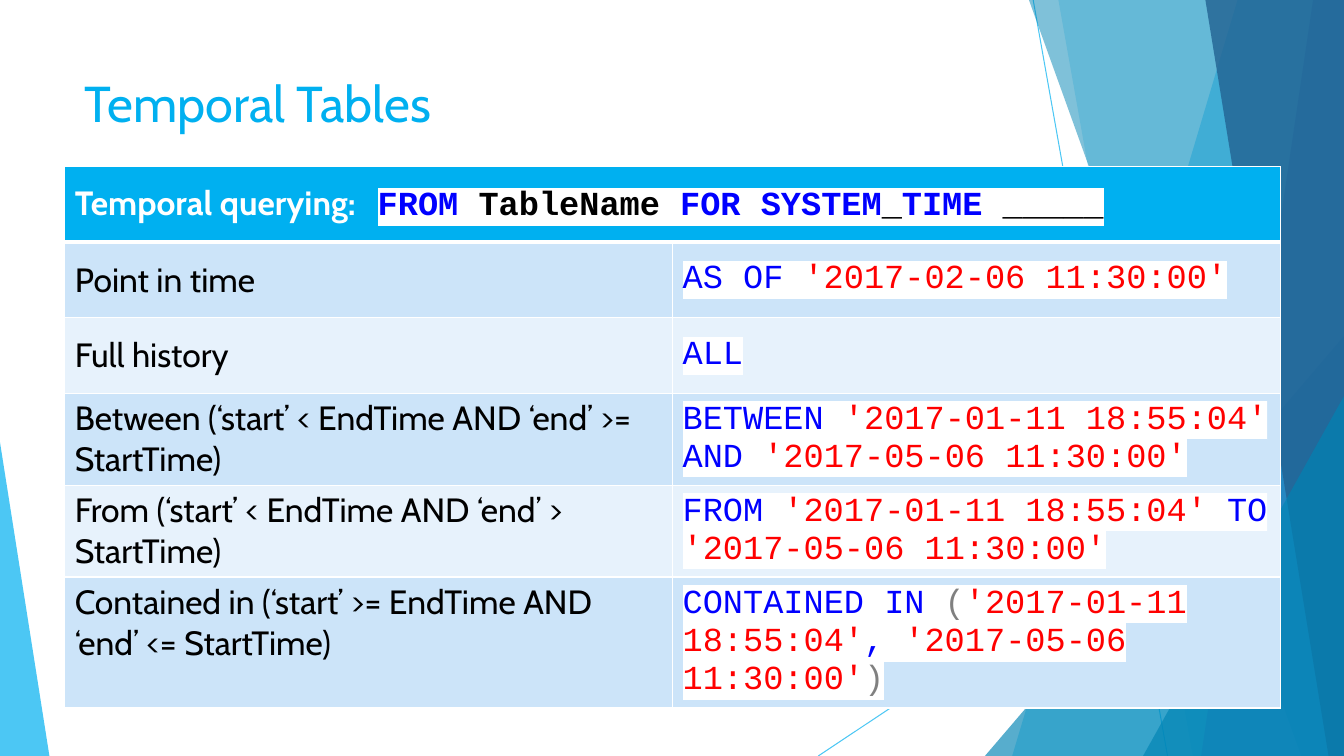
from lxml.etree import SubElement
from pptx import Presentation
from pptx.dml.color import RGBColor
from pptx.enum.shapes import MSO_CONNECTOR, MSO_SHAPE
from pptx.enum.text import MSO_ANCHOR, MSO_AUTO_SIZE, PP_ALIGN
from pptx.oxml.ns import qn
from pptx.util import Pt

WHITE = RGBColor(0xFF, 0xFF, 0xFF)
BLACK = RGBColor(0x00, 0x00, 0x00)
SKY = RGBColor(0x00, 0xB0, 0xF0)
TEAL = RGBColor(0x00, 0x84, 0xB4)
STEEL = RGBColor(0x2E, 0x83, 0xC3)
NAVY = RGBColor(0x22, 0x62, 0x92)
BAND_DARK = RGBColor(0xCC, 0xE4, 0xF9)
BAND_LIGHT = RGBColor(0xE7, 0xF2, 0xFC)
KEYWORD = RGBColor(0x00, 0x00, 0xFF)
LITERAL = RGBColor(0xFF, 0x00, 0x00)
BRACKET = RGBColor(0x80, 0x80, 0x80)

BODY_FONT, CODE_FONT = "Cabin", "Courier New"
SLIDE_W, SLIDE_H = 960, 540
TAB_STOP = 216.4

START = ("'2017-01-11 18:55:04'", LITERAL)
END = ("'2017-05-06 11:30:00'", LITERAL)
SPACE = (" ", BLACK)

HEADER_CODE = [("FROM", KEYWORD), (" TableName ", BLACK), ("FOR", KEYWORD), SPACE,
               ("SYSTEM", KEYWORD), ("_", BLACK), ("TIME", KEYWORD), (" _____", BLACK)]

# Row height, description, its anchor, code
ROWS = [
    (54, "Point in time", MSO_ANCHOR.MIDDLE,
     [("AS", KEYWORD), SPACE, ("OF", KEYWORD), SPACE, ("'2017-02-06 11:30:00'", LITERAL)]),
    (54, "Full history", MSO_ANCHOR.MIDDLE, [("ALL", KEYWORD)]),
    (65.5, "Between (‘start’ < EndTime AND ‘end’ >= StartTime)", MSO_ANCHOR.MIDDLE,
     [("BETWEEN", KEYWORD), SPACE, START, SPACE, ("AND", KEYWORD), SPACE, END]),
    (65.5, "From (‘start’ < EndTime AND ‘end’ > StartTime)", MSO_ANCHOR.MIDDLE,
     [("FROM", KEYWORD), SPACE, START, SPACE, ("TO", KEYWORD), SPACE, END]),
    (93.6, "Contained in (‘start’ >= EndTime AND ‘end’ <= StartTime)", MSO_ANCHOR.TOP,
     [("CONTAINED", KEYWORD), SPACE, ("IN ", KEYWORD), ("(", BRACKET), START,
      (",", KEYWORD), SPACE, END, (")", BRACKET)]),
]


def add_run(p, text, font=BODY_FONT, size=24, color=BLACK, bold=False, highlight=None):
    r = p.add_run()
    r.text = text
    r.font.name, r.font.size, r.font.bold = font, Pt(size), bold
    r.font.color.rgb = color
    if highlight is not None:
        fill = r.font.fill._xPr.find(qn("a:solidFill"))
        mark = SubElement(r.font._element, qn("a:highlight"))
        SubElement(mark, qn("a:srgbClr"), val=str(highlight))
        fill.addnext(mark)


def add_code(p, tokens, bold=False):
    for text, color in tokens:
        add_run(p, text, font=CODE_FONT, color=color, bold=bold, highlight=WHITE)


def set_alpha(sp, percent):
    for clr in sp._element.spPr.iter(qn("a:srgbClr")):
        SubElement(clr, qn("a:alpha"), val=str(percent * 1000))


def paint(sp, color, percent):
    sp.shadow.inherit = False
    sp.fill.solid()
    sp.fill.fore_color.rgb = color
    sp.line.fill.background()
    set_alpha(sp, percent)


def add_facets(slide, width, height):
    shapes = slide.shapes

    def ray(x1, y1, x2, y2):
        line = shapes.add_connector(MSO_CONNECTOR.STRAIGHT, Pt(x1), Pt(y1), Pt(x2), Pt(y2))
        line.line.color.rgb = SKY
        line.line.width = Pt(0.75)
        set_alpha(line, 70)
        SubElement(line._element.spPr, qn("a:effectLst"))

    def panel(top_x, bottom_x, color, percent):
        """Slanted panel that reaches the right edge of the slide."""
        fb = shapes.build_freeform(Pt(top_x), 0)
        fb.add_line_segments([(Pt(width), 0), (Pt(width), Pt(height)),
                              (Pt(bottom_x), Pt(height))], close=True)
        paint(fb.convert_to_shape(), color, percent)

    def wedge(x, w, h, apex, color, percent):
        """Triangle that stands on the bottom edge."""
        sp = shapes.add_shape(MSO_SHAPE.ISOSCELES_TRIANGLE,
                              Pt(x), Pt(height - h), Pt(w), Pt(h))
        sp.adjustments[0] = apex
        paint(sp, color, percent)

    ray(738, 0, 834, height)
    ray(width, 290, 584.5, height)
    panel(884, 723, SKY, 36)
    panel(756, 852, SKY, 20)
    wedge(width - 256.5, 256.5, 300, 1, TEAL, 66)
    panel(735, 929.5, TEAL, 50)
    panel(938, 858, STEEL, 70)
    panel(861, 949, NAVY, 80)
    wedge(width - 143.5, 143.5, 257, 1, TEAL, 66)
    wedge(0, 35.3, 224, 0, SKY, 70)


def add_title(slide, text, left, top, width, height):
    sp = slide.shapes.title
    sp.left, sp.top, sp.width, sp.height = Pt(left), Pt(top), Pt(width), Pt(height)
    tf = sp.text_frame
    tf.word_wrap = True
    tf.auto_size = MSO_AUTO_SIZE.NONE
    tf.vertical_anchor = MSO_ANCHOR.TOP
    p = tf.paragraphs[0]
    p.alignment = PP_ALIGN.LEFT
    add_run(p, text, size=36, color=SKY)
    # Keep the title in front of the facets
    slide.shapes._spTree.append(sp._element)


def format_cell(cell, color, anchor=MSO_ANCHOR.MIDDLE, top=1, bottom=1):
    cell.vertical_anchor = anchor
    cell.fill.solid()
    cell.fill.fore_color.rgb = color
    tcPr = cell._tc.get_or_add_tcPr()
    for i, (side, width) in enumerate(zip("LRTB", (1, 1, top, bottom))):
        ln = SubElement(tcPr, qn(f"a:ln{side}"), w=str(Pt(width)))
        fill = SubElement(ln, qn("a:solidFill"))
        SubElement(fill, qn("a:srgbClr"), val=str(WHITE))
        tcPr.insert(i, ln)
    return cell.text_frame.paragraphs[0]


def add_query_table(slide, left, top, width, header_height):
    height = header_height + sum(row[0] for row in ROWS)
    table = slide.shapes.add_table(len(ROWS) + 1, 2, Pt(left), Pt(top),
                                   Pt(width), Pt(height)).table
    table.horz_banding = False
    for column in table.columns:
        column.width = Pt(width / 2)

    # Header across both columns
    table.rows[0].height = Pt(header_height)
    for cell in table.rows[0].cells:
        p = format_cell(cell, SKY, bottom=3)
    table.cell(0, 0).merge(table.cell(0, 1))
    p = table.cell(0, 0).text_frame.paragraphs[0]
    tabs = SubElement(p._p.get_or_add_pPr(), qn("a:tabLst"))
    SubElement(tabs, qn("a:tab"), pos=str(Pt(TAB_STOP)), algn="l")
    add_run(p, "Temporal querying:\t", color=WHITE, bold=True)
    add_code(p, HEADER_CODE, bold=True)

    # Query forms
    for i, (row_height, label, anchor, code) in enumerate(ROWS, start=1):
        table.rows[i].height = Pt(row_height)
        band = BAND_DARK if i % 2 else BAND_LIGHT
        edge = 3 if i == 1 else 1
        add_run(format_cell(table.cell(i, 0), band, anchor, top=edge), label)
        add_code(format_cell(table.cell(i, 1), band, top=edge), code)


def main():
    prs = Presentation()
    prs.slide_width, prs.slide_height = Pt(SLIDE_W), Pt(SLIDE_H)
    slide = prs.slides.add_slide(prs.slide_layouts[5])
    add_facets(slide, SLIDE_W, SLIDE_H)
    add_title(slide, "Temporal Tables", 53.3, 48, 677, 104)
    add_query_table(slide, 46.2, 119, 868.4, header_height=54)
    prs.save("out.pptx")


if __name__ == "__main__":
    main()
